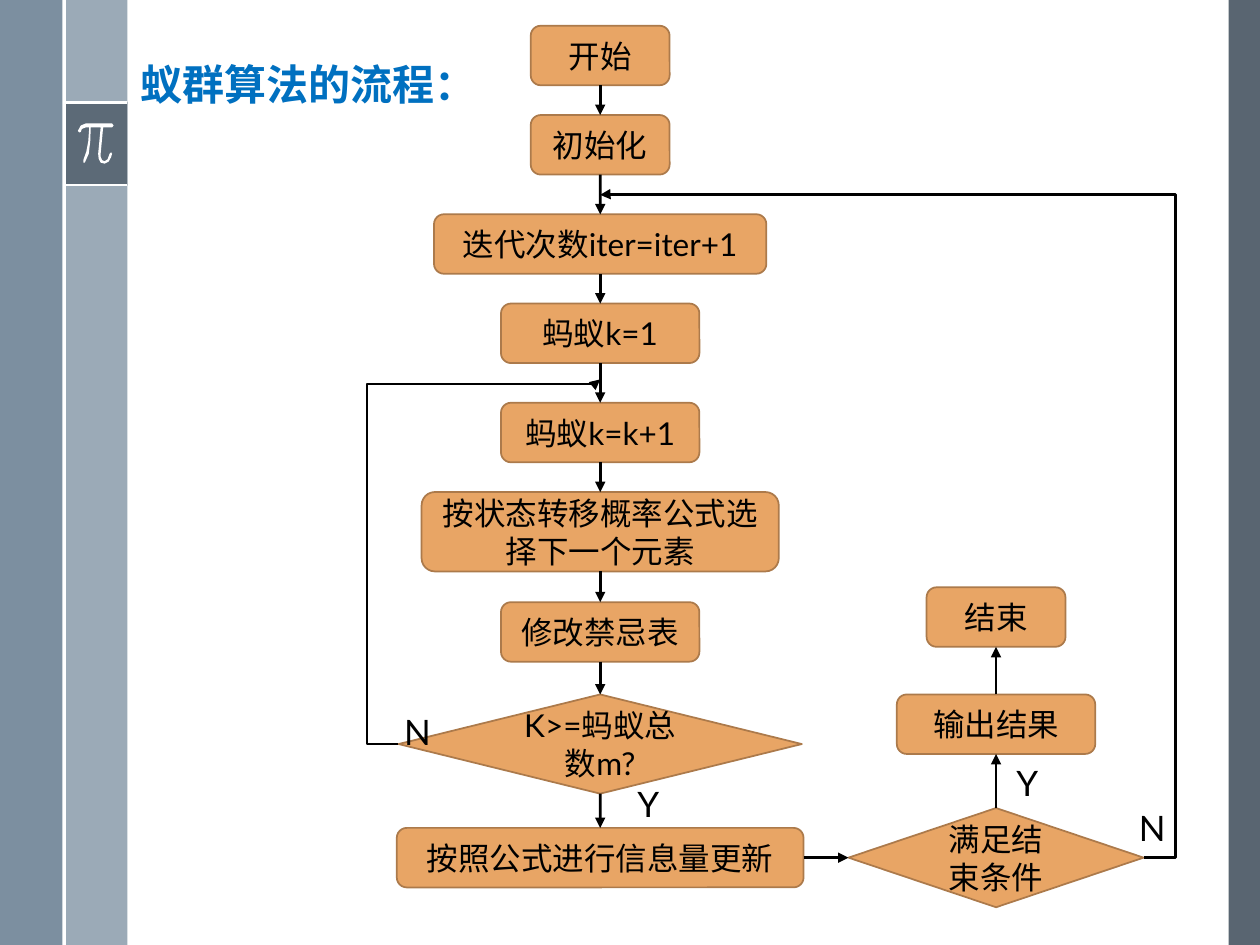
"""Build the flowchart slide for the ant colony algorithm."""
from itertools import pairwise

from lxml.etree import SubElement
from pptx import Presentation
from pptx.dml.color import RGBColor as RGB
from pptx.enum.shapes import MSO_CONNECTOR as CONN, MSO_SHAPE as SHAPE
from pptx.enum.text import MSO_ANCHOR as ANCHOR, PP_ALIGN as ALIGN
from pptx.oxml.ns import qn
from pptx.util import Cm, Pt

COLORS = {"edge": "475562", "band": "9BAAB7", "rail": "6A8093", "white": "FFFFFF",
          "title": "0070C0", "box": "E8A565", "border": "AC7A4B", "black": "000000"}
LATIN, CJK = "Lato", "Noto Sans CJK SC"
BOX, TEST = SHAPE.ROUNDED_RECTANGLE, SHAPE.FLOWCHART_DECISION

PANELS = [("edge", 24.77, 0, 0.63, 19.05, 90), ("band", 1.3, 0, 1.27, 19.05, 100),
          ("rail", 0, 0, 1.26, 19.05, 88), ("edge", 1.3, 2.06, 1.27, 1.68, 75)]
RULES = [(1.3, 2.06, 2.57, 2.06), (1.3, 3.73, 2.57, 3.73), (1.3, 0, 1.3, 19.05)]
PI_SIGN = [(226, 249), (173, 249), (163, 253), (157, 264), (160, 267), (163, 266),
           (165, 260), (173, 257), (180, 257), (178, 285), (174, 306), (168, 323),
           (168, 328), (171, 328), (179, 310), (182, 285), (183, 257), (203, 257),
           (198, 310), (199, 320), (203, 328), (211, 330), (219, 326), (224, 317),
           (226, 310), (224, 307), (221, 310), (217, 321), (211, 325), (206, 323),
           (203, 316), (203, 310), (208, 257), (226, 257), (229, 253)]

MAIN_X, END_X = 12.1, 20.08
MAIN = [("开始", BOX, 0.52, 2.8, 1.2),
        ("初始化", BOX, 2.32, 2.8, 1.2),
        ("迭代次数iter=iter+1", BOX, 4.32, 6.7, 1.2),
        ("蚂蚁k=1", BOX, 6.12, 4, 1.2),
        ("蚂蚁k=k+1", BOX, 8.12, 4, 1.2),
        ("按状态转移概率公式选择下一个元素", BOX, 9.92, 7.2, 1.6),
        ("修改禁忌表", BOX, 12.14, 4, 1.2),
        ("K>=蚂蚁总数m?", TEST, 14, 8.13, 2),
        ("按照公式进行信息量更新", BOX, 16.69, 8.2, 1.2)]
ENDING = [("满足结束条件", TEST, 16.29, 5.95, 2),
          ("输出结果", BOX, 14, 4, 1.2),
          ("结束", BOX, 11.84, 2.8, 1.2)]
LOOPS = [((8.03, 15), (MAIN_X, 7.65), (-0.156, 0.987)),
         ((23.06, 17.29), (MAIN_X, 3.93), (-0.058, 1.001))]
LABELS = [("N", 22.71, 16.23), ("Y", 12.6, 15.75), ("Y", 20.24, 15.32), ("N", 7.9, 14.3)]
TOP, BOTTOM, LEFT, RIGHT = 0, 2, 1, 3


def rgb(name):
    return RGB.from_string(COLORS[name])


def put(s, text, size=18, color="black", bold=False, font=LATIN, align=ALIGN.CENTER,
        anchor=ANCHOR.MIDDLE, wrap=True, spacing=None):
    tf = s.text_frame
    tf.word_wrap, tf.vertical_anchor = wrap, anchor
    p = tf.paragraphs[0]
    p.alignment, p.line_spacing = align, spacing
    r = p.add_run()
    r.text = text
    r.font.size, r.font.bold, r.font.name = Pt(size), bold, font
    r.font.color.rgb = rgb(color)
    SubElement(r.font._element, qn("a:ea"), typeface=CJK)


def paint(s, fill, line=None, alpha=100):
    s.shadow.inherit = False
    s.fill.solid()
    s.fill.fore_color.rgb = rgb(fill)
    if alpha < 100:
        clr = s._element.spPr.find(f".//{qn('a:srgbClr')}")
        SubElement(clr, qn("a:alpha"), val=str(alpha * 1000))
    if line:
        s.line.color.rgb = rgb(line)
        s.line.width = Pt(1)
    else:
        s.line.fill.background()


def connect(sp, start=(0, 0), end=(0, 0), color="black", arrow=True, kind=CONN.STRAIGHT):
    c = sp.add_connector(kind, *map(Cm, start + end))
    c.line.color.rgb = rgb(color)
    c.line.width = Pt(1.5)
    if arrow:
        SubElement(c.line._get_or_add_ln(), qn("a:tailEnd"), type="triangle")
    SubElement(c._element.spPr, qn("a:effectLst"))
    return c


def link(sp, a, a_side, b, b_side):
    c = connect(sp)
    c.begin_connect(a, a_side)
    c.end_connect(b, b_side)


def loop(sp, start, end, adjust):
    c = connect(sp, start, end, kind=CONN.ELBOW)
    geom = c._element.spPr.find(qn("a:prstGeom"))
    geom.set("prst", "bentConnector4")
    guides = geom.find(qn("a:avLst"))
    for i, value in enumerate(adjust, 1):
        SubElement(guides, qn("a:gd"), name=f"adj{i}", fmla=f"val {round(value * 100000)}")


def column(sp, steps, center):
    shapes = []
    for text, kind, top, width, height in steps:
        s = sp.add_shape(kind, Cm(center - width / 2), Cm(top), Cm(width), Cm(height))
        paint(s, "box", "border")
        put(s, text)
        shapes.append(s)
    return shapes


def label(sp, text, left, top, width, height, **fmt):
    s = sp.add_textbox(Cm(left), Cm(top), Cm(width), Cm(height))
    put(s, text, align=ALIGN.LEFT, anchor=ANCHOR.TOP, wrap=False, spacing=0.9, **fmt)


def main():
    prs = Presentation()
    prs.slide_width, prs.slide_height = Cm(25.4), Cm(19.05)
    sp = prs.slides.add_slide(prs.slide_layouts[6]).shapes

    for color, left, top, width, height, alpha in PANELS:
        s = sp.add_shape(SHAPE.RECTANGLE, Cm(left), Cm(top), Cm(width), Cm(height))
        paint(s, color, alpha=alpha)
    for x1, y1, x2, y2 in RULES:
        connect(sp, (x1, y1), (x2, y2), "white", arrow=False)
    outline = sp.build_freeform(*PI_SIGN[0], scale=Cm(0.01))
    outline.add_line_segments(PI_SIGN[1:], close=True)
    paint(outline.convert_to_shape(), "white")

    label(sp, "蚁群算法的流程：", 2.59, 1.17, 7.39, 1.22,
          size=24, color="title", bold=True, font=CJK)
    steps = column(sp, MAIN, MAIN_X)
    ending = column(sp, ENDING, END_X)
    for a, b in pairwise(steps):
        link(sp, a, BOTTOM, b, TOP)
    for a, b in pairwise(ending):
        link(sp, a, TOP, b, BOTTOM)
    link(sp, steps[-1], RIGHT, ending[0], LEFT)
    for start, end, adjust in LOOPS:
        loop(sp, start, end, adjust)
    for text, left, top in LABELS:
        label(sp, text, left, top, 1.02, 1.02, size=20)

    prs.save("out.pptx")


if __name__ == "__main__":
    main()
